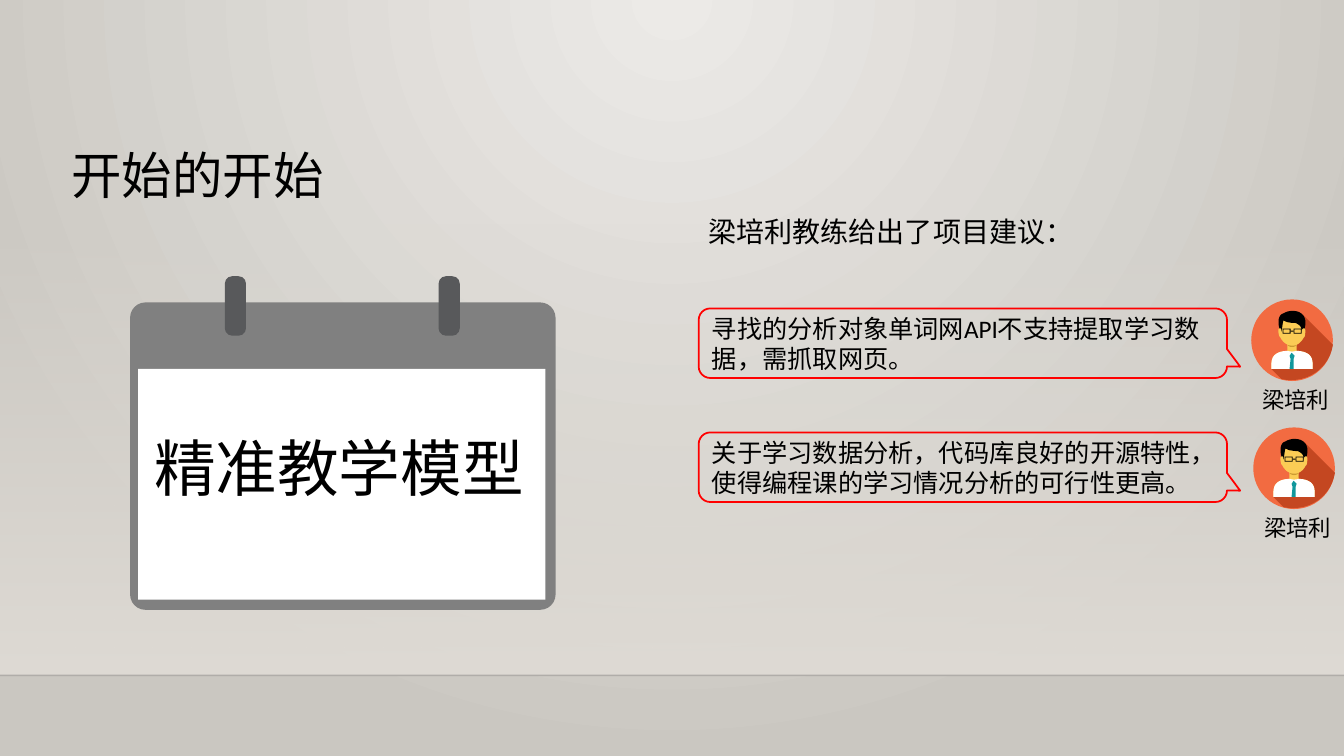
from lxml import etree
from pptx import Presentation
from pptx.dml.color import RGBColor
from pptx.enum.shapes import MSO_CONNECTOR, MSO_SHAPE
from pptx.enum.text import MSO_ANCHOR, MSO_AUTO_SIZE, PP_ALIGN
from pptx.oxml.ns import qn
from pptx.util import Inches, Pt

COLORS = {
    "glow": "ECEAE7", "wall": "CAC7C1", "haze": "DFDBD5", "rule": "000001",
    "text": "000000", "calendar": "808080", "page": "FFFFFF", "pin": "58595B",
    "callout": "FF0000", "badge": "F26B41", "shade": "C44721", "skin": "FBCC55",
    "chin": "CC9B32", "shirt": "FFFFFF", "hair": "000000", "tie": "11979C",
}
RGB = {name: RGBColor.from_string(value) for name, value in COLORS.items()}


def add_shape(parent, preset, box, color, adjustments=()):
    shape = parent.shapes.add_shape(preset, *map(Inches, box))
    shape.shadow.inherit = False
    shape.line.fill.background()
    shape.fill.solid()
    shape.fill.fore_color.rgb = RGB[color]
    for index, value in enumerate(adjustments):
        shape.adjustments[index] = value
    return shape


def write_text(shape, text, size, wrap, anchor=MSO_ANCHOR.TOP,
               fit=MSO_AUTO_SIZE.SHAPE_TO_FIT_TEXT):
    frame = shape.text_frame
    frame.text = text
    frame_format = {"word_wrap": wrap, "vertical_anchor": anchor, "auto_size": fit}
    for attribute, value in frame_format.items():
        setattr(frame, attribute, value)
    paragraph = frame.paragraphs[0]
    paragraph.alignment = PP_ALIGN.LEFT
    font = paragraph.runs[0].font
    for attribute, value in {"name": "Calibri", "size": Pt(size)}.items():
        setattr(font, attribute, value)
    font.color.rgb = RGB["text"]


prs = Presentation()
prs.slide_width = Inches(13.33)
prs.slide_height = Inches(7.5)
slide = prs.slides.add_slide(prs.slide_layouts[5])

backdrop = slide.background.fill
backdrop.gradient()
for stop, color in zip(backdrop.gradient_stops, ("glow", "wall")):
    stop.color.rgb = RGB[color]
linear = next(slide.background._cSld.iter(qn("a:lin")))
radial = etree.Element(qn("a:path"), {"path": "circle"})
etree.SubElement(radial, qn("a:fillToRect"),
                 {"l": "43000", "t": "0", "r": "43000", "b": "100000"})
linear.getparent().replace(linear, radial)

haze = add_shape(slide, MSO_SHAPE.RECTANGLE, (0, 2.21, 13.33, 4.49), "haze")
haze.fill.gradient()
haze.fill.gradient_angle = 270
for stop in haze.fill.gradient_stops:
    stop.color.rgb = RGB["haze"]
clear_color = next(haze._element.spPr.iter(qn("a:srgbClr")))
etree.SubElement(clear_color, qn("a:alpha"), {"val": "0"})

floor_rule = slide.shapes.add_connector(
    MSO_CONNECTOR.STRAIGHT, 0, Inches(6.7), Inches(13.33), Inches(6.7))
floor_rule.line.width = Pt(1)
floor_rule.line.color.rgb = RGB["rule"]
rule_color = next(floor_rule._element.spPr.iter(qn("a:srgbClr")))
etree.SubElement(rule_color, qn("a:alpha"), {"val": "20000"})
etree.SubElement(floor_rule._element.spPr, qn("a:effectLst"))

title = slide.shapes.title
title_box = {"left": 0.61, "top": 1.38, "width": 2.73, "height": 0.71}
for attribute, value in title_box.items():
    setattr(title, attribute, Inches(value))
write_text(title, "开始的开始", 36, False)

calendar = slide.shapes.add_group_shape()
add_shape(calendar, MSO_SHAPE.ROUNDED_RECTANGLE, (1.29, 3, 4.22, 3.05), "calendar", [0.05])
add_shape(calendar, MSO_SHAPE.RECTANGLE, (1.37, 3.66, 4.04, 2.29), "page")
model_name = calendar.shapes.add_textbox(*map(Inches, (1.43, 4.22, 4.05, 0.85)))
write_text(model_name, "精准教学模型", 44, True)
for pin_left in (2.23, 4.35):
    add_shape(calendar, MSO_SHAPE.ROUNDED_RECTANGLE,
              (pin_left, 2.74, 0.21, 0.59), "pin", [0.35])

advice = (
    (3.06, "寻找的分析对象单词网API不支持提取学习数据，需抓取网页。"),
    (4.29, "关于学习数据分析，代码库良好的开源特性，使得编程课的学习情况分析的可行性更高。"),
)
for top, sentence in advice:
    callout = add_shape(slide, MSO_SHAPE.ROUNDED_RECTANGULAR_CALLOUT,
                        (6.93, top, 5.24, 0.69), "page", [0.525, 0.337, 0.167])
    callout.fill.background()
    callout.line.color.rgb = RGB["callout"]
    callout.line.width = Pt(1.25)
    write_text(callout, sentence, 18, True, MSO_ANCHOR.MIDDLE, MSO_AUTO_SIZE.NONE)

SHOULDERS = (20, 61, 19, 52, 36, 51)
SLEEVE = (62, 52, 61, 61, 61, 69)
portrait_parts = (
    ("shade", (51, 15), [(81, 45), (78, 65, 61, 80, 40, 80), (37, 80, 34, 80, 30, 79),
                         (20, 69), (39, 53), (37, 25)]),
    ("skin", (20, 69), [SHOULDERS, (36, 44), (45, 44), (45, 51), SLEEVE]),
    ("chin", (45, 45), [(36, 45), (37, 48, 44, 48, 45, 45)]),
    ("skin", (28, 29), [(26, 28, 27, 37, 29, 38), (31, 42, 35, 46, 41, 46),
                        (46, 46, 50, 42, 52, 38), (54, 38, 54, 28, 53, 29),
                        (53, 19, 53, 13, 41, 13), (28, 13, 27, 19, 28, 29)]),
    ("shirt", (20, 69), [SHOULDERS, (39, 52, 42, 52, 45, 51), SLEEVE]),
    ("hair", (50, 32), [(50, 30, 51, 28, 53, 29), (58, 10, 39, 9, 32, 14),
                        (27, 15, 26, 22, 28, 29), (30, 28, 30, 30, 30, 32),
                        (31, 28, 31, 23, 32, 21), (34, 22, 36, 23, 38, 23),
                        (42, 24, 44, 23, 45, 24), (49, 26, 50, 28, 50, 32)]),
    ("tie", (38, 56), [(39, 59), (38, 69), (42, 69), (42, 59), (43, 56), (40, 53)]),
)
CURVE_STEPS = 12

for left, top in ((12.41, 2.97), (12.43, 4.24)):
    portrait = slide.shapes.add_group_shape()
    add_shape(portrait, MSO_SHAPE.OVAL, (left, top, 0.81, 0.81), "badge")
    for color, start, segments in portrait_parts:
        outline = [start]
        for segment in segments:
            if len(segment) == 2:
                outline.append(segment)
                continue
            x0, y0 = outline[-1]
            x1, y1, x2, y2, x3, y3 = segment
            for step in range(1, CURVE_STEPS + 1):
                t = step / CURVE_STEPS
                a, b, c, d = (1 - t) ** 3, 3 * t * (1 - t) ** 2, 3 * t * t * (1 - t), t ** 3
                outline.append((a * x0 + b * x1 + c * x2 + d * x3,
                                a * y0 + b * y1 + c * y2 + d * y3))
        points = [(100 * x, 100 * y) for x, y in outline]
        builder = portrait.shapes.build_freeform(*points[0], scale=Inches(1) / 10000)
        builder.add_line_segments(points[1:], close=True)
        part = builder.convert_to_shape(Inches(left), Inches(top))
        part.shadow.inherit = False
        part.line.fill.background()
        part.fill.solid()
        part.fill.fore_color.rgb = RGB[color]
    for lens_left in (0.31, 0.42):
        add_shape(portrait, MSO_SHAPE.FRAME,
                  (left + lens_left, top + 0.29, 0.08, 0.05), "hair", [0.16])
    add_shape(portrait, MSO_SHAPE.RECTANGLE, (left + 0.39, top + 0.31, 0.03, 0.01), "hair")
    coach_name = slide.shapes.add_textbox(
        *map(Inches, (left + 0.01, top + 0.81, 0.88, 0.37)))
    write_text(coach_name, "梁培利", 16, False)

advice_heading = slide.shapes.add_textbox(*map(Inches, (6.93, 2.08, 3.85, 0.44)))
write_text(advice_heading, "梁培利教练给出了项目建议：", 20, False)

prs.save("out.pptx")
